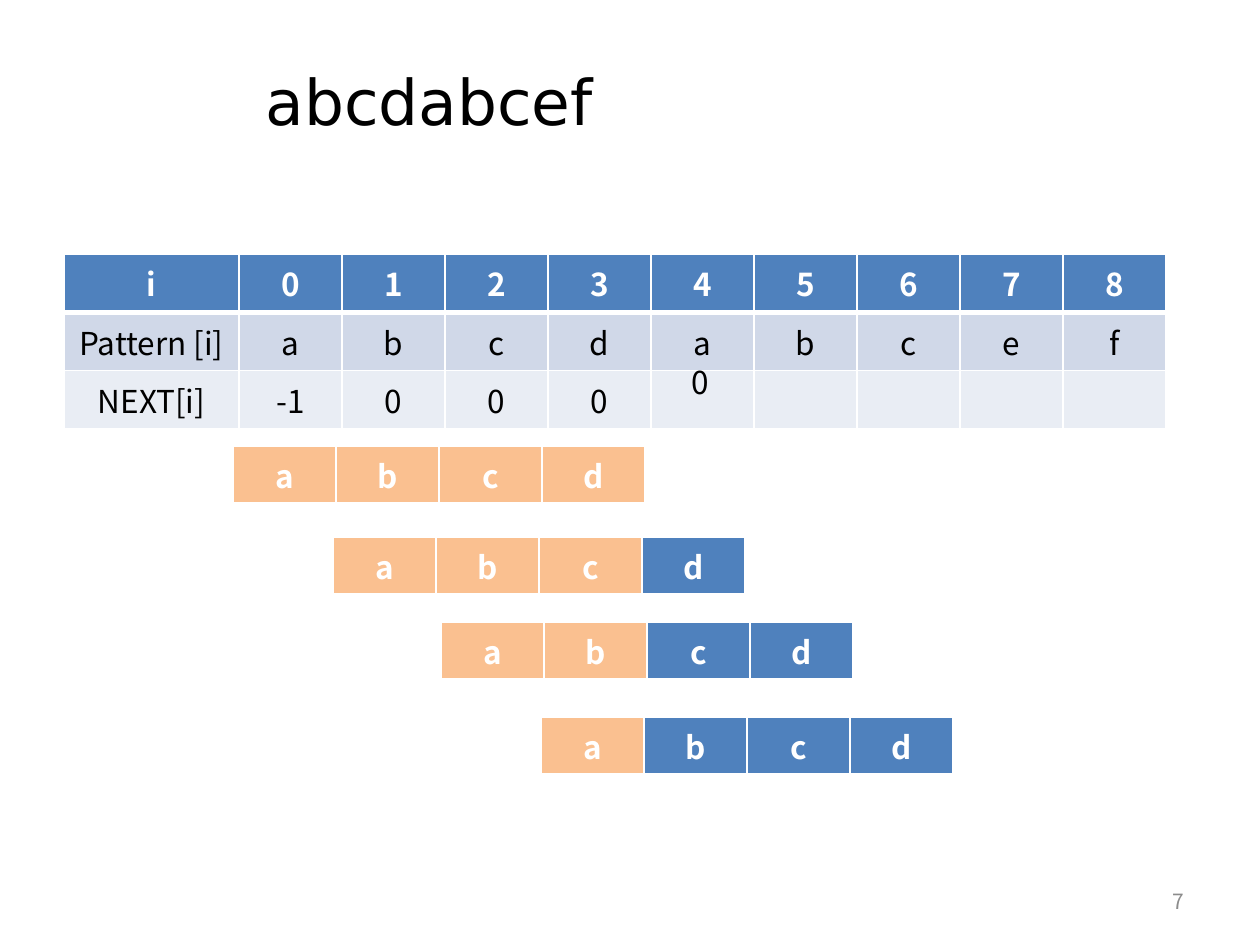
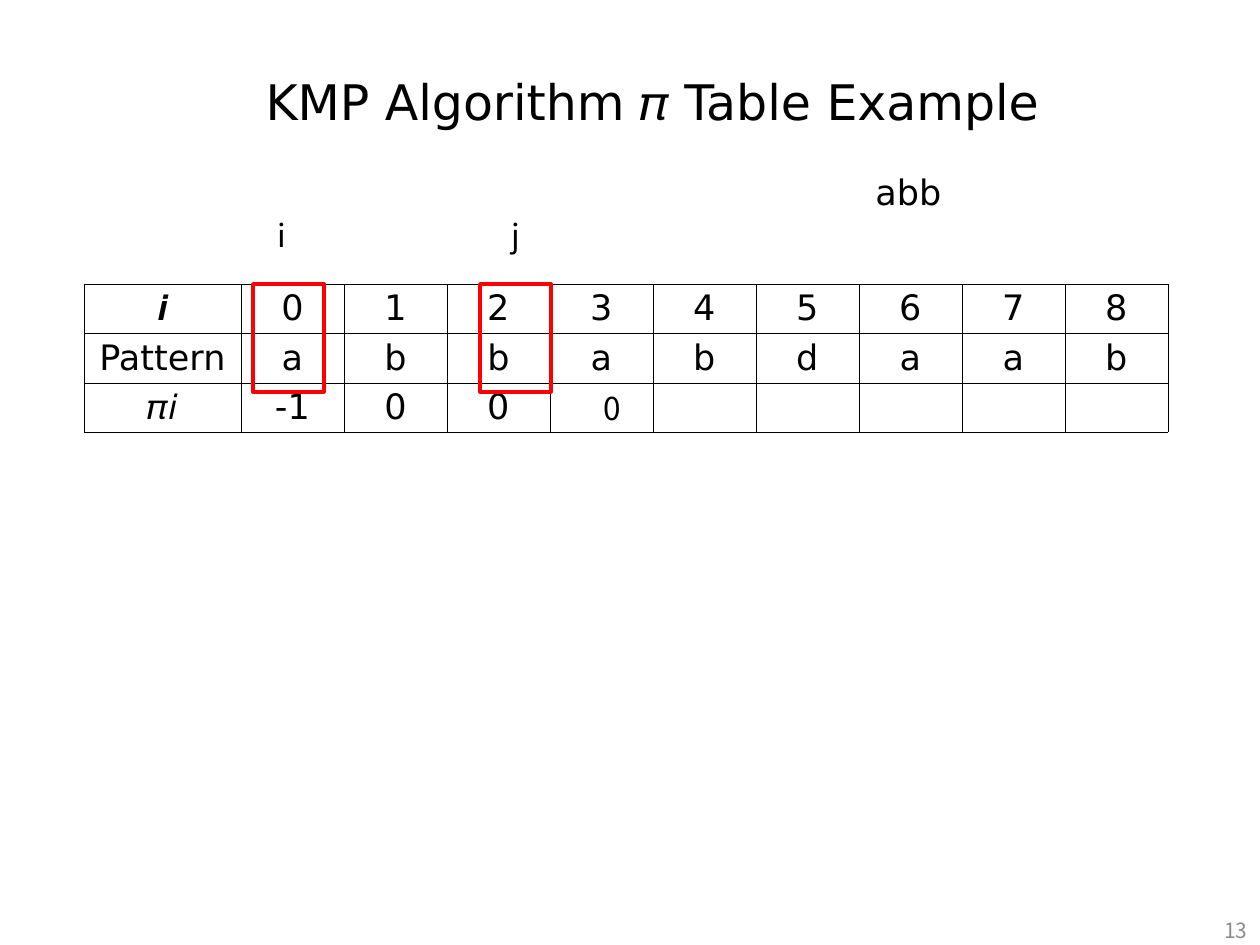
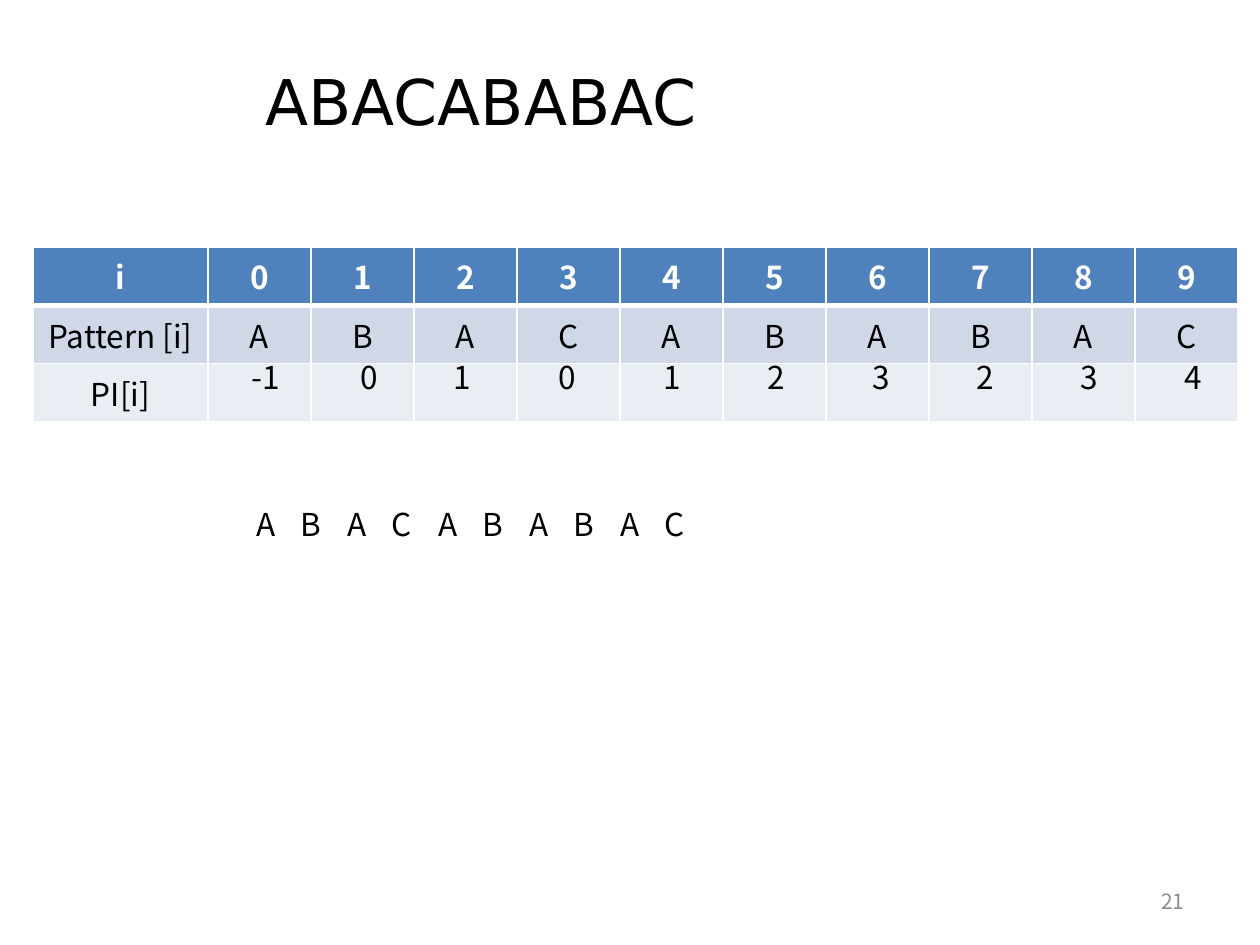
from dataclasses import dataclass

import pptx
import pptx.dml.color
import pptx.enum.shapes
import pptx.enum.text
import pptx.oxml
import pptx.oxml.ns
import pptx.util

RGBColor = pptx.dml.color.RGBColor
PP_ALIGN = pptx.enum.text.PP_ALIGN
MSO_ANCHOR = pptx.enum.text.MSO_ANCHOR
MSO_AUTO_SIZE = pptx.enum.text.MSO_AUTO_SIZE
Pt = pptx.util.Pt

BLACK = RGBColor(0x00, 0x00, 0x00)
WHITE = RGBColor(0xFF, 0xFF, 0xFF)
GRAY = RGBColor(0x8C, 0x8C, 0x8C)
RED = RGBColor(0xFF, 0x00, 0x00)
BLUE = RGBColor(0x4F, 0x81, 0xBD)
BLUE_MID = RGBColor(0xD0, 0xD8, 0xE8)
BLUE_PALE = RGBColor(0xE9, 0xED, 0xF4)
ORANGE = RGBColor(0xFA, 0xC0, 0x90)

SANS = "DejaVu Sans"
NOTO = "Noto Sans CJK KR"
PX_PER_INCH = 126
TITLE_ONLY = 5
COLUMN = 103


def px(n: int) -> int:
    return round(n * pptx.util.Inches(1) / PX_PER_INCH)


@dataclass(frozen=True)
class Box:
    left: int
    top: int
    width: int
    height: int

    def emu(self) -> tuple[int, int, int, int]:
        return px(self.left), px(self.top), px(self.width), px(self.height)


@dataclass(frozen=True)
class Font:
    name: str
    size: int
    color: RGBColor = BLACK
    bold: bool = False


@dataclass(frozen=True)
class RowStyle:
    font: Font
    height: int
    fills: tuple[RGBColor | None, ...]  # the last fill covers the rest of the row
    line: RGBColor = WHITE
    bottom: float = 1


@dataclass(frozen=True)
class Marker:
    text: str
    center: int
    top: int
    width: int = 43


TITLE_BOX = Box(253, 37, 890, 127)
NUMBER_BOX = Box(903, 876, 294, 50)
LOW_NUMBER_BOX = Box(966, 905, 294, 50)
LABEL_FONT = Font(NOTO, 18)
HEADER_FONT = Font(NOTO, 18, WHITE, True)
GRID_FONT = Font(SANS, 20)
BANDED = (
    RowStyle(HEADER_FONT, 51, (BLUE,), bottom=3),
    RowStyle(LABEL_FONT, 51, (BLUE_MID,)),
    RowStyle(LABEL_FONT, 51, (BLUE_PALE,)),
)
GRID = tuple(RowStyle(GRID_FONT, h, (None,), BLACK, 0.28) for h in (49, 50, 49))


def set_paragraph(p, text: str, font: Font, align) -> None:
    p.alignment = align
    p.font.name = font.name
    p.font.size = Pt(font.size)
    p.font.bold = font.bold
    p.font.color.rgb = font.color
    p.add_run().text = text


def add_text(slide, box: Box, text: str, font: Font, align=PP_ALIGN.LEFT,
             anchor=MSO_ANCHOR.TOP, wrap: bool = True, grow: bool = True) -> None:
    tf = slide.shapes.add_textbox(*box.emu()).text_frame
    tf.word_wrap = wrap
    tf.auto_size = MSO_AUTO_SIZE.SHAPE_TO_FIT_TEXT if grow else MSO_AUTO_SIZE.NONE
    tf.vertical_anchor = anchor
    set_paragraph(tf.paragraphs[0], text, font, align)


def add_markers(slide, markers: list[Marker]) -> None:
    for m in markers:
        box = Box(m.center - m.width // 2, m.top, m.width, 50)
        add_text(slide, box, m.text, LABEL_FONT, PP_ALIGN.CENTER, wrap=False)


def add_titled_slide(prs, title: str, size: int, number: int, number_box: Box = NUMBER_BOX):
    slide = prs.slides.add_slide(prs.slide_layouts[TITLE_ONLY])
    sp = slide.shapes.title
    sp.left, sp.top, sp.width, sp.height = TITLE_BOX.emu()
    tf = sp.text_frame
    tf.auto_size = MSO_AUTO_SIZE.NONE
    tf.vertical_anchor = MSO_ANCHOR.MIDDLE
    set_paragraph(tf.paragraphs[0], title, Font(SANS, size), PP_ALIGN.LEFT)
    add_text(slide, number_box, str(number), Font(NOTO, 12, GRAY), PP_ALIGN.RIGHT,
             MSO_ANCHOR.MIDDLE, grow=False)
    return slide


def set_borders(cell, color: RGBColor, top: float, bottom: float, side: float) -> None:
    tc_pr = cell._tc.get_or_add_tcPr()
    for edge, width in (("L", side), ("R", side), ("T", top), ("B", bottom)):
        tc_pr.append(pptx.oxml.parse_xml(
            f'<a:ln{edge} {pptx.oxml.ns.nsdecls("a")} w="{Pt(width)}">'
            f'<a:solidFill><a:srgbClr val="{color}"/></a:solidFill></a:ln{edge}>'))


def add_pattern_table(slide, left: int, top: int, rows: list[list[str]],
                      styles: tuple[RowStyle, ...], first_column: int = COLUMN,
                      compact: bool = False) -> None:
    """Draw rows of centred cells; compact cells have small margins and middle text."""
    columns = len(rows[0])
    box = Box(left, top, first_column + COLUMN * (columns - 1),
              sum(style.height for style in styles))
    table = slide.shapes.add_table(len(rows), columns, *box.emu()).table
    table.first_row = not compact
    table.horz_banding = False
    for c, column in enumerate(table.columns):
        column.width = px(COLUMN if c else first_column)
    for r, (texts, style) in enumerate(zip(rows, styles)):
        table.rows[r].height = px(style.height)
        above = styles[r - 1].bottom if r else min(style.bottom, 1)
        for c in range(columns):
            cell = table.cell(r, c)
            set_borders(cell, style.line, above, style.bottom, min(style.bottom, 1))
            fill = style.fills[min(c, len(style.fills) - 1)]
            if fill is None:
                cell.fill.background()
            else:
                cell.fill.solid()
                cell.fill.fore_color.rgb = fill
            if compact:
                cell.vertical_anchor = MSO_ANCHOR.MIDDLE
                cell.margin_left = cell.margin_right = px(9)
                cell.margin_top = cell.margin_bottom = px(2)
            if c < len(texts):
                set_paragraph(cell.text_frame.paragraphs[0], texts[c], style.font,
                              PP_ALIGN.CENTER)


def add_highlight(slide, box: Box) -> None:
    sp = slide.shapes.add_shape(pptx.enum.shapes.MSO_SHAPE.RECTANGLE, *box.emu())
    sp.shadow.inherit = False
    sp.fill.background()
    sp.line.color.rgb = RED
    sp.line.width = Pt(2)


def build_next_slide(prs) -> None:
    slide = add_titled_slide(prs, "abcdabcef", 36, 7)
    add_pattern_table(slide, 64, 254, [
        ["i", *"012345678"],
        ["Pattern [i]", *"abcdabcef"],
        ["NEXT[i]", "-1", *"000"],
    ], BANDED, first_column=175)
    shifted_prefixes = ((233, 446), (333, 537), (441, 622), (541, 717))
    for shift, (left, top) in enumerate(shifted_prefixes):
        fills = (ORANGE,) * (4 - shift) + (BLUE,) * shift
        add_pattern_table(slide, left, top, [list("abcd")],
                          (RowStyle(HEADER_FONT, 51, fills, bottom=3),))
    add_markers(slide, [Marker("0", 700, 357)])


def build_pi_example_slide(prs) -> None:
    slide = add_titled_slide(prs, "KMP Algorithm 𝜋 Table Example", 28, 13, LOW_NUMBER_BOX)
    add_pattern_table(slide, 84, 284, [
        ["𝒊", *"012345678"],
        ["Pattern", *"abbabdaab"],
        ["𝜋𝑖", "-1", *"00"],
    ], GRID, first_column=157, compact=True)
    for left in (253, 480):
        add_highlight(slide, Box(left, 284, 71, 108))
    add_markers(slide, [Marker("i", 281, 210, 33), Marker("j", 515, 210, 33),
                        Marker("0", 612, 383)])
    add_text(slide, Box(863, 164, 277, 55), "abb", GRID_FONT)


def build_pi_result_slide(prs) -> None:
    pattern = "ABACABABAC"
    slide = add_titled_slide(prs, pattern, 36, 21)
    add_pattern_table(slide, 33, 247, [
        ["i", *"0123456789"],
        ["Pattern [i]", *pattern],
        ["PI[i]"],
    ], BANDED, first_column=175)
    values = ("-1", *"010123234")
    centers = (265, 369, 462, 567, 672, 776, 881, 985, 1089, 1193)
    add_markers(slide, [Marker(v, x, 352, 43 if len(v) == 1 else 55)
                        for v, x in zip(values, centers)])
    add_markers(slide, [Marker(letter, 266 + 91 * i // 2, 499, 46)
                        for i, letter in enumerate(pattern)])


def main() -> None:
    prs = pptx.Presentation()
    prs.slide_width, prs.slide_height = px(1260), px(945)
    build_next_slide(prs)
    build_pi_example_slide(prs)
    build_pi_result_slide(prs)
    prs.save("out.pptx")


if __name__ == "__main__":
    main()
